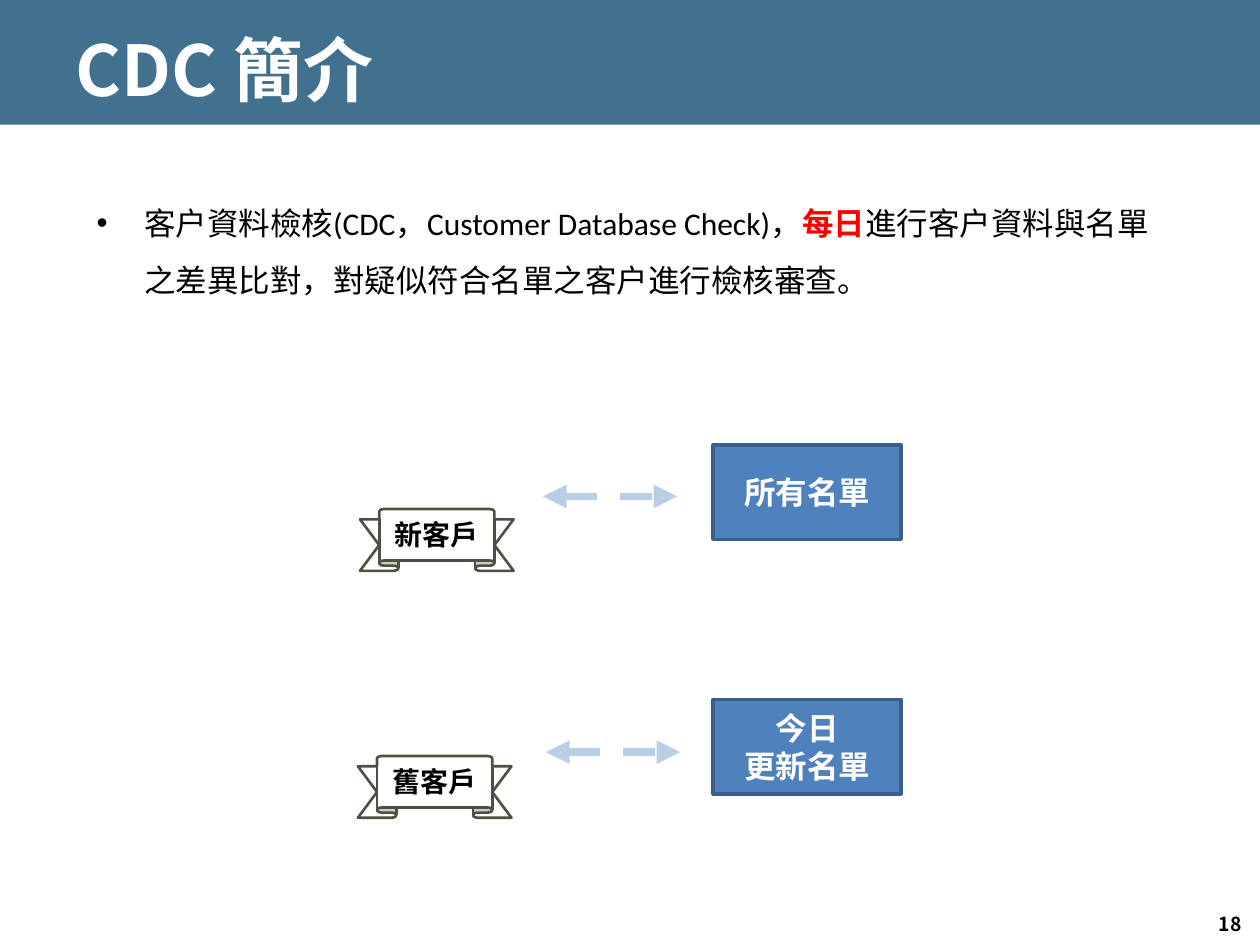
from lxml import etree
from pptx import Presentation
from pptx.dml.color import RGBColor
from pptx.enum import dml, shapes, text
from pptx.oxml.ns import qn
from pptx.util import Pt

COLORS = {"band": "42708F", "white": "FFFFFF", "black": "000000", "red": "FF0000",
          "ribbon_line": "4A5241", "box": "4F81BD", "box_line": "3A5F8C", "arrow": "B9CDE5"}
SC, TC, LATIN = "Noto Sans CJK SC", "Noto Sans CJK TC", "Calibri"


def rgb(name):
    """Return the named colour."""
    return RGBColor.from_string(COLORS[name])


def add_text(p, content, size=18, font=SC, east=None, color="black", bold=False):
    """Add a formatted run to a paragraph."""
    r = p.add_run()
    r.text = content
    r.font.size, r.font.bold, r.font.name = Pt(size), bold, font
    r.font.color.rgb = rgb(color)
    etree.SubElement(r.font._element, qn("a:ea"), typeface=east or font)


def add_text_box(s, box):
    """Add an empty wrapping text box and return its first paragraph."""
    tf = s.shapes.add_textbox(*map(Pt, box)).text_frame
    tf.word_wrap = True
    return tf.paragraphs[0]


def add_shape(s, kind, box, fill, line=None, width=1.5):
    """Add a flat preset shape."""
    sp = s.shapes.add_shape(kind, *map(Pt, box))
    sp.shadow.inherit = False
    sp.fill.solid()
    sp.fill.fore_color.rgb = rgb(fill)
    if line:
        sp.line.color.rgb = rgb(line)
        sp.line.width = Pt(width)
    else:
        sp.line.fill.background()
    return sp


def add_label(sp, lines, **fmt):
    """Centre lines of text in a shape."""
    tf = sp.text_frame
    tf.vertical_anchor = text.MSO_ANCHOR.MIDDLE
    for i, line in enumerate(lines):
        p = tf.add_paragraph() if i else tf.paragraphs[0]
        p.alignment = text.PP_ALIGN.CENTER
        add_text(p, line, bold=True, **fmt)


def add_header(s, left, top, width, height):
    """Place the band and the slide title over it."""
    band = add_shape(s, shapes.MSO_SHAPE.RECTANGLE, (left, top, width, height), "band")
    s.shapes._spTree.insert(2, band._element)
    title = s.shapes.title
    title.left, title.top = Pt(left + 36), Pt(top + 10)
    title.width, title.height = Pt(width - 72), Pt(62.6)
    tf = title.text_frame
    tf.vertical_anchor = text.MSO_ANCHOR.MIDDLE
    p = tf.paragraphs[0]
    p.alignment = text.PP_ALIGN.LEFT
    add_text(p, "CDC 簡介", size=40, color="white", bold=True)


def add_intro(s, *box):
    """Place the bulleted introduction."""
    p = add_text_box(s, box)
    p.line_spacing = 1.5
    pPr = p._p.get_or_add_pPr()
    pPr.set("marL", str(Pt(27)))
    pPr.set("indent", str(Pt(-27)))
    color = etree.SubElement(pPr, qn("a:buClr"))
    etree.SubElement(color, qn("a:srgbClr"), val=COLORS["black"])
    etree.SubElement(pPr, qn("a:buFont"), typeface="Arial")
    etree.SubElement(pPr, qn("a:buChar"), char="•")
    add_text(p, "客戶資料檢核", font=TC)
    add_text(p, "(CDC，Customer Database Check)", font=LATIN, east=TC)
    add_text(p, "，", font=TC)
    add_text(p, "每日", font=TC, color="red", bold=True)
    add_text(p, "進行客戶資料與名單之差異比對，對疑似符合名單之客戶進行檢核審查。", font=TC)


def add_arrow(s, left, y, width):
    """Add a dashed double-headed arrow."""
    line = s.shapes.add_connector(shapes.MSO_CONNECTOR.STRAIGHT,
                                  Pt(left), Pt(y), Pt(left + width), Pt(y))
    line.line.color.rgb = rgb("arrow")
    line.line.width = Pt(4.5)
    line.line.dash_style = dml.MSO_LINE.DASH
    ln = line.line._get_or_add_ln()
    for end in ("a:headEnd", "a:tailEnd"):
        etree.SubElement(ln, qn(end), type="triangle")
    etree.SubElement(line._element.spPr, qn("a:effectLst"))


def add_check(s, left, top, customer, names, ribbon, arrow):
    """Place one customer ribbon, its arrow and its name list box."""
    banner = add_shape(s, shapes.MSO_SHAPE.UP_RIBBON,
                       (left + ribbon[0], top + ribbon[1], 87.8, 35.3), "white", "ribbon_line")
    banner.adjustments[0], banner.adjustments[1] = 0.167, 0.75
    add_label(banner, [customer], size=16, font=LATIN, east=SC)
    add_arrow(s, left + arrow[0], top + arrow[1], 76.7)
    box = add_shape(s, shapes.MSO_SHAPE.RECTANGLE, (left + 203, top, 107.3, 54),
                    "box", "box_line", 2)
    add_label(box, names, color="white")


def add_page_number(s, *box):
    """Place the page number."""
    p = add_text_box(s, box)
    p.alignment = text.PP_ALIGN.CENTER
    add_text(p, "18", size=11, bold=True)


def main():
    """Build the slide and save it."""
    prs = Presentation()
    prs.slide_width, prs.slide_height = Pt(720), Pt(540)
    s = prs.slides.add_slide(prs.slide_layouts[5])
    add_header(s, 0, -2.2, 720, 73.4)
    add_intro(s, 48.2, 102.2, 615.6, 73.4)
    add_check(s, 204.5, 254.2, "新客戶", ["所有名單"], (1.2, 36.7), (105.8, 29.5))
    add_check(s, 204.5, 399.6, "舊客戶", ["今日", "更新名單"], (0, 32.4), (107.5, 30.2))
    add_page_number(s, 686.2, 517.7, 33.8, 21.6)
    prs.save("out.pptx")


if __name__ == "__main__":
    main()
